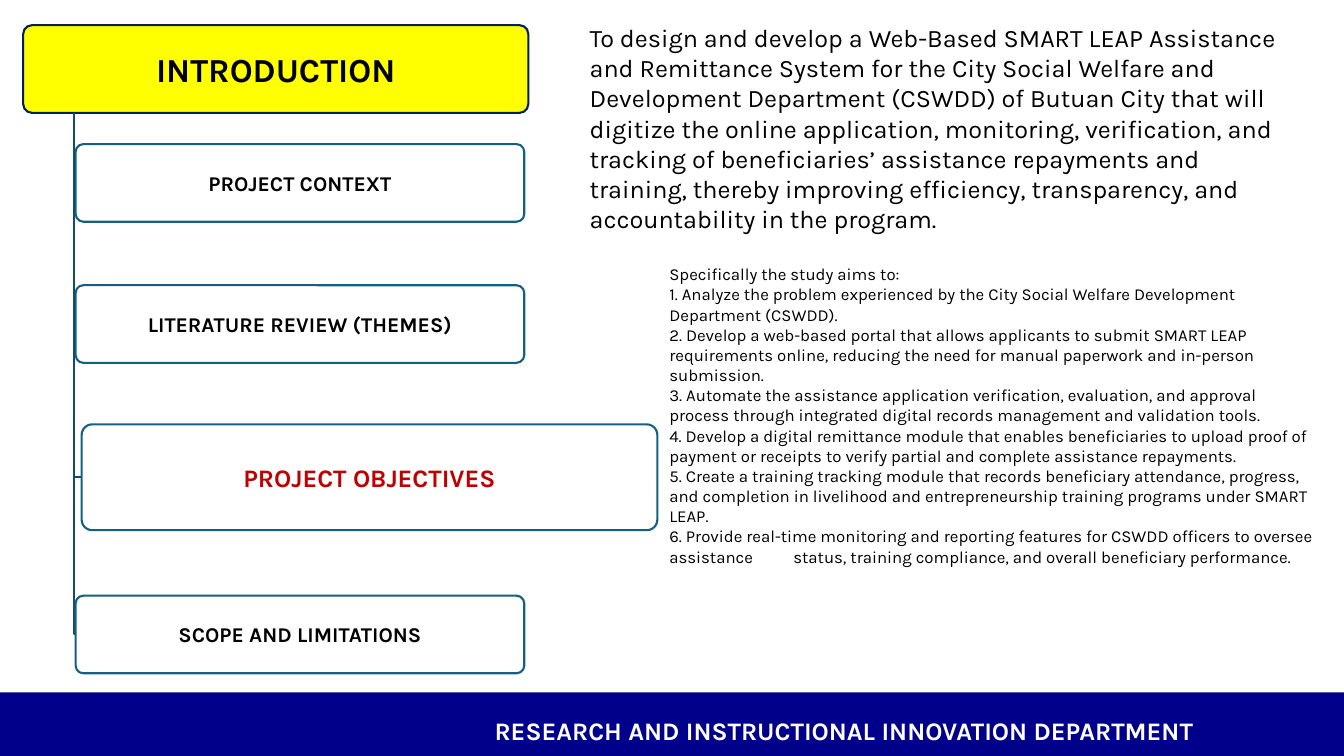
import pptx
import pptx.util
import pptx.dml.color
import pptx.enum.shapes
import pptx.enum.text
import pptx.oxml.ns
from lxml import etree

PX = 9144  # EMU in one px, 100 px to the inch
FONT = "Karla"
BLACK, WHITE, RED = "000000", "FFFFFF", "C00000"
NAVY, YELLOW, DARK_BLUE = "00008B", "FFFF00", "002060"
TEAL, DARK_TEAL = "156082", "114D68"
TRUNK_X = 73
ROOT = (23, 25, 501, 87)

# Label, left, top, width, height, text size, text colour
TOPICS = [
    ("PROJECT CONTEXT", 75, 143, 445, 77, 15, BLACK),
    ("LITERATURE REVIEW (THEMES)", 75, 283, 445, 77, 15, BLACK),
    ("PROJECT OBJECTIVES", 81, 421, 571, 105, 18, RED),
    ("SCOPE AND LIMITATIONS", 75, 591, 445, 77, 15, BLACK),
]
GENERAL_OBJECTIVE = (
    "To design and develop a Web-Based SMART LEAP Assistance and Remittance System "
    "for the City Social Welfare and Development Department (CSWDD) of Butuan City "
    "that will digitize the online application, monitoring, verification, and tracking "
    "of beneficiaries’ assistance repayments and training, thereby improving "
    "efficiency, transparency, and accountability in the program."
)
SPECIFIC_OBJECTIVES = [
    "Specifically the study aims to:",
    "1. Analyze the problem experienced by the City Social Welfare Development "
    "Department (CSWDD).",
    "2. Develop a web-based portal that allows applicants to submit SMART LEAP "
    "requirements online, reducing the need for manual paperwork and in-person submission.",
    "3. Automate the assistance application verification, evaluation, and approval "
    "process through integrated digital records management and validation tools.",
    "4. Develop a digital remittance module that enables beneficiaries to upload proof "
    "of payment or receipts to verify partial and complete assistance repayments.",
    "5. Create a training tracking module that records beneficiary attendance, progress, "
    "and completion in livelihood and entrepreneurship training programs under SMART LEAP.",
    "6. Provide real-time monitoring and reporting features for CSWDD officers to oversee "
    "assistance\tstatus, training compliance, and overall beneficiary performance.",
]


def colour(value):
    return pptx.dml.color.RGBColor.from_string(value)


def px(*lengths):
    return [length * PX for length in lengths]


def add_tab_stop(paragraph, position):
    properties = paragraph._p.get_or_add_pPr()
    tabs = etree.SubElement(properties, pptx.oxml.ns.qn("a:tabLst"))
    etree.SubElement(tabs, pptx.oxml.ns.qn("a:tab"), pos=str(position * PX), algn="l")


def write(text_frame, lines, size, text_colour, bold=False, centred=False):
    text_frame.word_wrap = True
    for index, line in enumerate(lines):
        paragraph = text_frame.paragraphs[0] if index == 0 else text_frame.add_paragraph()
        paragraph.text = line
        if centred:
            paragraph.alignment = pptx.enum.text.PP_ALIGN.CENTER
        for run in paragraph.runs:
            run.font.name = FONT
            run.font.size = pptx.util.Pt(size)
            run.font.bold = bold
            run.font.color.rgb = colour(text_colour)


def add_text(slide, box, lines, size, text_colour=BLACK, **style):
    shape = slide.shapes.add_textbox(*px(*box))
    write(shape.text_frame, lines, size, text_colour, **style)
    return shape.text_frame


def add_box(slide, box, label, size, text_colour, fill, line):
    kind = pptx.enum.shapes.MSO_SHAPE.ROUNDED_RECTANGLE
    shape = slide.shapes.add_shape(kind, *px(*box))
    shape.adjustments[0] = 0.1
    shape.shadow.inherit = False
    shape.fill.solid()
    shape.fill.fore_color.rgb = colour(fill)
    shape.line.color.rgb = colour(line)
    shape.line.width = pptx.util.Pt(1.5)
    frame = shape.text_frame
    frame.margin_left = frame.margin_right = 3 * PX
    frame.margin_top = frame.margin_bottom = 2 * PX
    frame.vertical_anchor = pptx.enum.text.MSO_ANCHOR.MIDDLE
    write(frame, [label], size, text_colour, bold=True, centred=True)
    return shape


def set_opacity(shape, percent):
    fill_colour = shape._element.spPr.find(".//" + pptx.oxml.ns.qn("a:srgbClr"))
    etree.SubElement(fill_colour, pptx.oxml.ns.qn("a:alpha"), val=str(percent * 1000))


def add_branch(slide, top, end_x, end_y):
    builder = slide.shapes.build_freeform(TRUNK_X, top, scale=PX)
    builder.add_line_segments([(TRUNK_X, end_y), (end_x, end_y)], close=False)
    branch = builder.convert_to_shape()
    branch.shadow.inherit = False
    branch.fill.background()
    branch.line.color.rgb = colour(DARK_TEAL)
    branch.line.width = pptx.util.Pt(1.5)


def add_footer(slide):
    kind = pptx.enum.shapes.MSO_SHAPE.RECTANGLE
    band = slide.shapes.add_shape(kind, *px(0, 687, 1333, 63))
    band.shadow.inherit = False
    band.fill.solid()
    band.fill.fore_color.rgb = colour(NAVY)
    band.line.fill.background()
    frame = add_text(slide, (416, 691, 842, 51),
                     ["RESEARCH AND INSTRUCTIONAL INNOVATION DEPARTMENT"],
                     18, WHITE, bold=True, centred=True)
    frame.paragraphs[0].line_spacing = pptx.util.Pt(31.8)


def main():
    presentation = pptx.Presentation()
    presentation.slide_width, presentation.slide_height = px(1333, 750)
    slide = presentation.slides.add_slide(presentation.slide_layouts[6])

    # Footer band
    add_footer(slide)

    # Outline of the introduction
    add_box(slide, ROOT, "INTRODUCTION", 24, BLACK, YELLOW, DARK_BLUE)
    for label, left, top, width, height, size, text_colour in TOPICS:
        add_branch(slide, ROOT[1] + ROOT[3], left, top + height // 2)
        topic = add_box(slide, (left, top, width, height), label, size,
                        text_colour, WHITE, TEAL)
        set_opacity(topic, 90)

    # Objectives
    add_text(slide, (575, 17, 715, 171), [GENERAL_OBJECTIVE], 18)
    objectives = add_text(slide, (654, 257, 661, 365), SPECIFIC_OBJECTIVES, 12)
    add_tab_stop(objectives.paragraphs[-1], 123)

    presentation.save("out.pptx")


if __name__ == "__main__":
    main()
